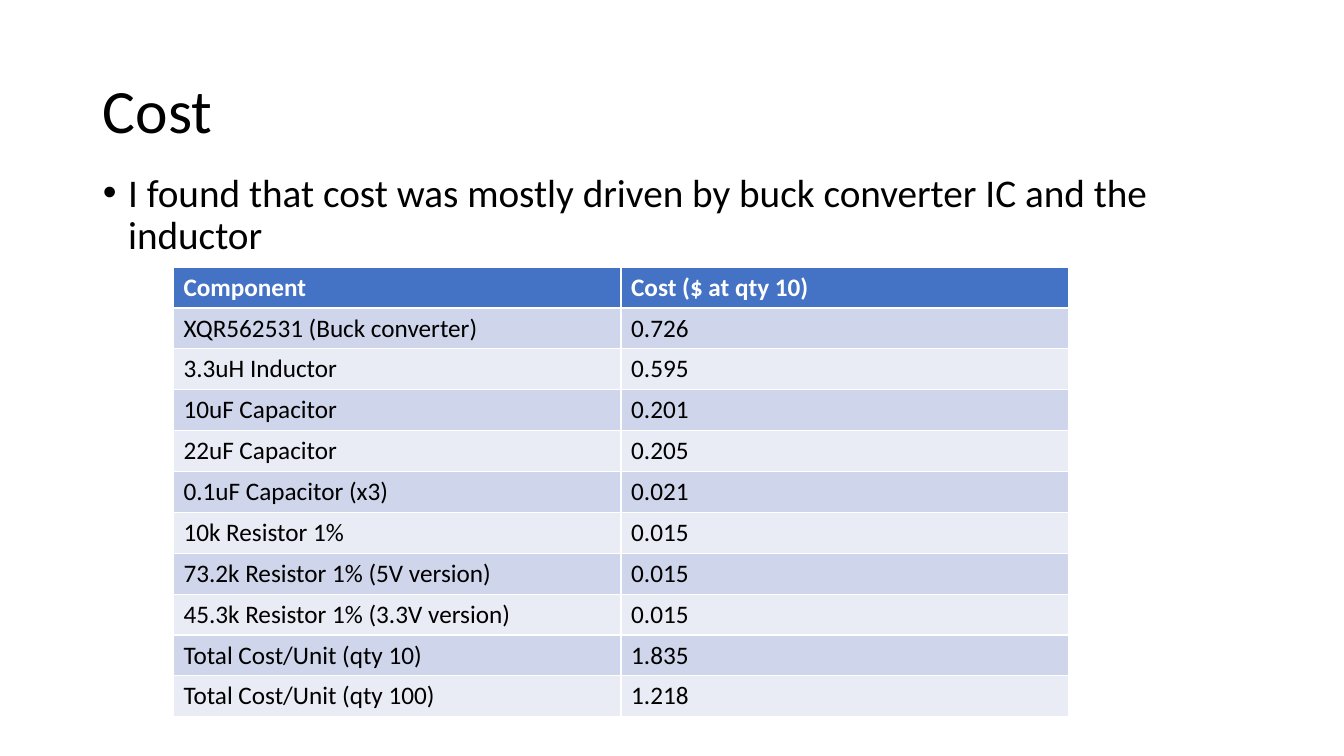
from pptx import Presentation
from pptx.dml.color import RGBColor as RGB
from pptx.enum.text import MSO_ANCHOR as Anchor, MSO_AUTO_SIZE as Auto, PP_ALIGN as Align
from pptx.oxml import parse_xml
from pptx.oxml.ns import nsdecls
from pptx.util import Inches, Pt

FONT = "Calibri"
BLACK = RGB(0x00, 0x00, 0x00)
WHITE = RGB(0xFF, 0xFF, 0xFF)
BLUE = RGB(0x44, 0x72, 0xC4)
DARK = RGB(0xCF, 0xD5, 0xEA)
LIGHT = RGB(0xE9, 0xEB, 0xF5)

COSTS = [
    ("Component", "Cost ($ at qty 10)"),
    ("XQR562531 (Buck converter)", "0.726"),
    ("3.3uH Inductor", "0.595"),
    ("10uF Capacitor", "0.201"),
    ("22uF Capacitor", "0.205"),
    ("0.1uF Capacitor (x3)", "0.021"),
    ("10k Resistor 1%", "0.015"),
    ("73.2k Resistor 1% (5V version)", "0.015"),
    ("45.3k Resistor 1% (3.3V version)", "0.015"),
    ("Total Cost/Unit (qty 10)", "1.835"),
    ("Total Cost/Unit (qty 100)", "1.218"),
]


def write(frame, text, size=18, color=BLACK, bold=False, line=1.0, before=0):
    para = frame.paragraphs[0]
    para.alignment = Align.LEFT
    para.line_spacing = line
    para.space_before = Pt(before)
    run = para.add_run()
    run.text = text
    font = run.font
    font.name, font.size, font.bold = FONT, Pt(size), bold
    font.color.rgb = color
    return para


def place(holder, left, top, width, height, anchor):
    holder.left, holder.top = Inches(left), Inches(top)
    holder.width, holder.height = Inches(width), Inches(height)
    frame = holder.text_frame
    frame.word_wrap = True
    frame.auto_size = Auto.NONE
    frame.vertical_anchor = anchor
    return frame


def bullet(para, indent):
    props = para._p.get_or_add_pPr()
    props.set("marL", str(Inches(indent)))
    props.set("indent", str(-Inches(indent)))
    props.append(parse_xml(f'<a:buFont {nsdecls("a")} typeface="Arial"/>'))
    props.append(parse_xml(f'<a:buChar {nsdecls("a")} char="•"/>'))


def add_grid(slide, data, left, top, width, pitch):
    grid = slide.shapes.add_table(
        len(data), len(data[0]), Inches(left), Inches(top),
        Inches(width), Inches(pitch * len(data))).table
    for i, texts in enumerate(data):
        head = i == 0
        fill = BLUE if head else DARK if i % 2 else LIGHT
        for j, text in enumerate(texts):
            cell = grid.cell(i, j)
            cell.fill.solid()
            cell.fill.fore_color.rgb = fill
            write(cell.text_frame, text, color=WHITE if head else BLACK, bold=head)


def main():
    deck = Presentation()
    deck.slide_width, deck.slide_height = Inches(13.33), Inches(7.5)
    slide = deck.slides.add_slide(deck.slide_layouts[1])
    title, body = slide.placeholders
    frame = place(title, 0.92, 0.4, 11.5, 1.45, Anchor.MIDDLE)
    write(frame, "Cost", size=44, line=0.9)
    frame = place(body, 0.92, 1.67, 11.5, 4.76, Anchor.TOP)
    para = write(
        frame, "I found that cost was mostly driven by buck converter IC and the inductor",
        size=28, line=0.9, before=10)
    bullet(para, 0.25)
    add_grid(slide, COSTS, 1.72, 2.65, 8.88, 0.405)
    deck.save("out.pptx")


if __name__ == "__main__":
    main()
